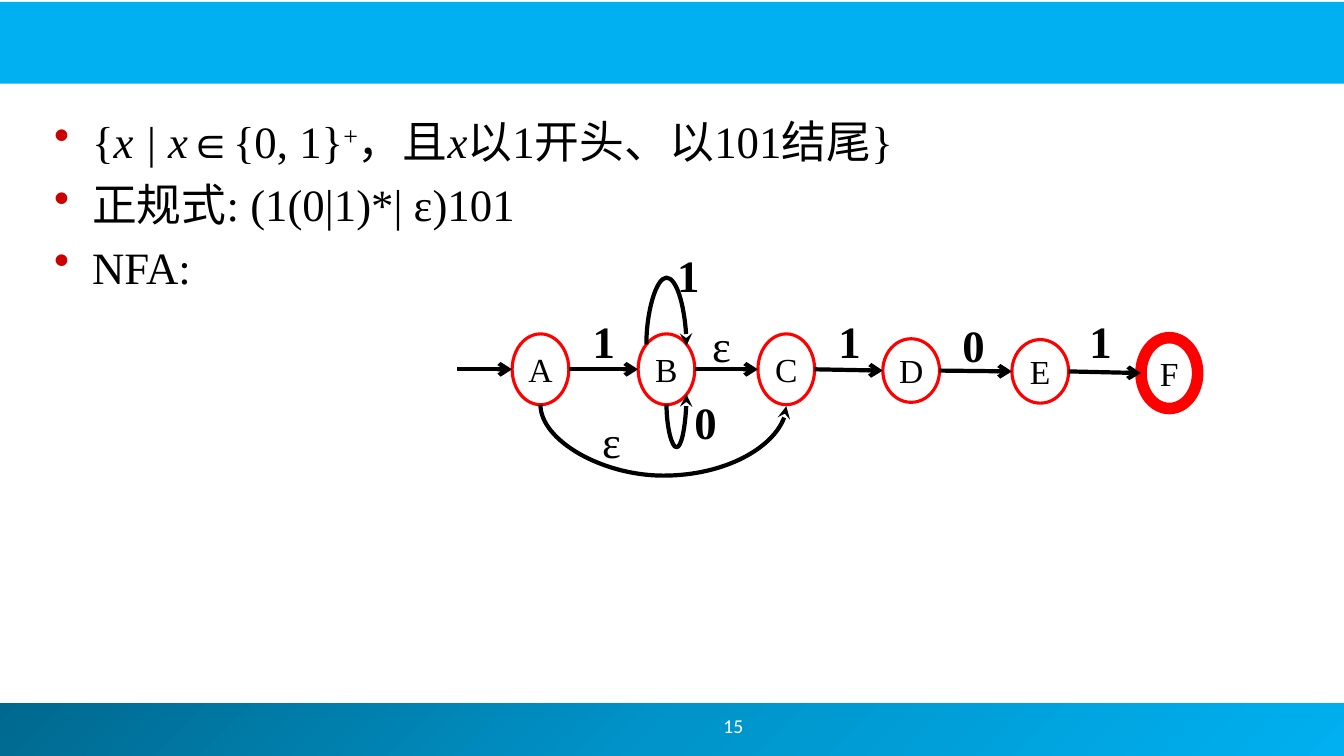
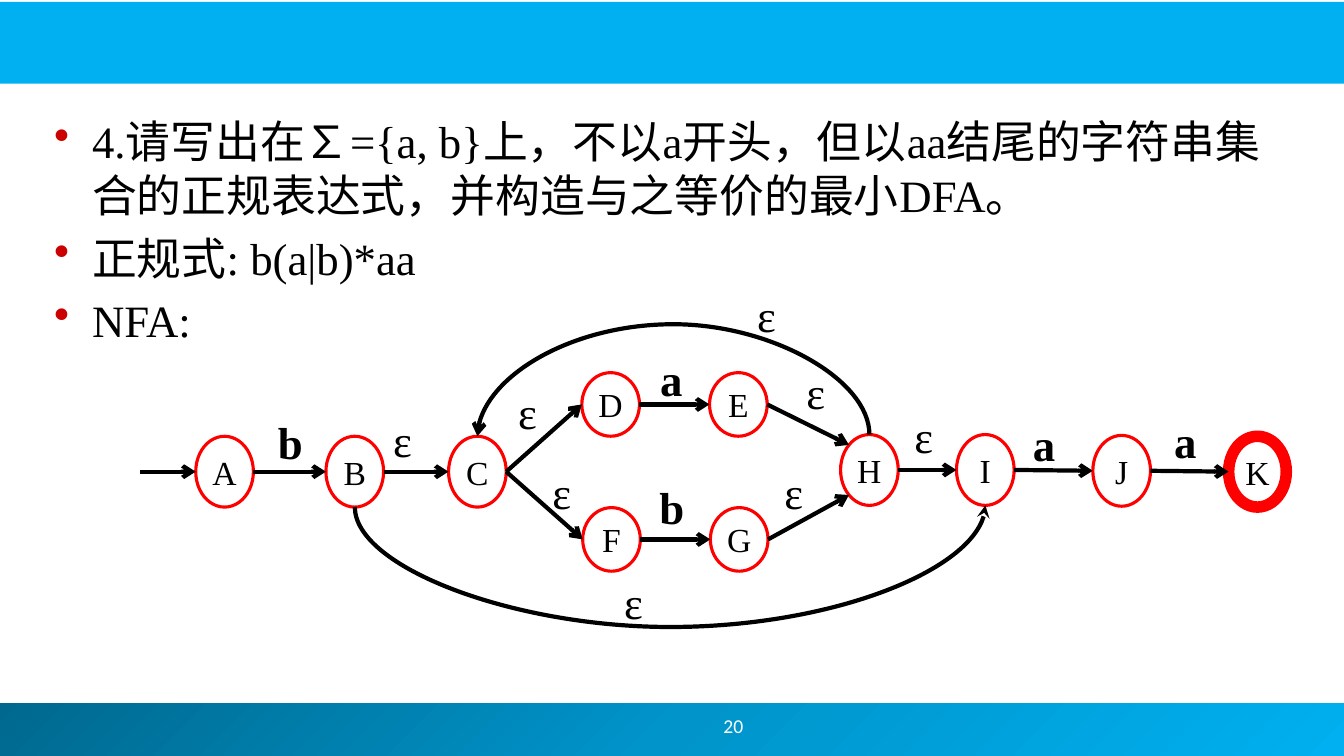
from dataclasses import dataclass
from math import cos, pi, sin
from typing import Any

from lxml import etree
from pptx import Presentation
from pptx.dml.color import RGBColor
from pptx.enum.shapes import MSO_CONNECTOR, MSO_SHAPE
from pptx.enum.text import MSO_ANCHOR, MSO_AUTO_SIZE, PP_ALIGN
from pptx.oxml.ns import qn
from pptx.util import Pt

RECT, OVAL = MSO_SHAPE.RECTANGLE, MSO_SHAPE.OVAL
STRAIGHT, CURVE = MSO_CONNECTOR.STRAIGHT, MSO_CONNECTOR.CURVE
TOP, MIDDLE = MSO_ANCHOR.TOP, MSO_ANCHOR.MIDDLE
LEFT, CENTER = PP_ALIGN.LEFT, PP_ALIGN.CENTER
GROW, FIXED = MSO_AUTO_SIZE.SHAPE_TO_FIT_TEXT, MSO_AUTO_SIZE.NONE

BLACK, WHITE, RED, BULLET_RED, SKY = "000000", "FFFFFF", "FF0000", "CC0000", "00B0F0"
FOOTER_STOPS = ((0, "00688E"), (50, "0094CA"), (100, SKY))
SERIF, SANS = "Times New Roman", "Calibri"
BODY = {"name": SERIF, "size": Pt(32)}
STATE = {"name": SERIF, "size": Pt(24)}
NUMBER = {"name": SANS, "size": Pt(14)}
ITALIC = {"italic": True}
SUPER = "superscript"

TOP_SITE, TOP_LEFT, LEFT_SITE, BOTTOM_LEFT = 0, 1, 2, 3
BOTTOM, BOTTOM_RIGHT, RIGHT, TOP_RIGHT = 4, 5, 6, 7
ENTRY_LENGTH = 39.5
TALL, SHORT = 50.6, 45.4


@dataclass(frozen=True)
class Node:
    name: str
    x: float
    y: float
    h: float = TALL
    final: bool = False


@dataclass(frozen=True)
class Edge:
    src: str
    dst: str
    src_site: int = RIGHT
    dst_site: int = LEFT_SITE
    bulge: float = 0
    head: str = "arrow"


@dataclass(frozen=True)
class Label:
    text: str
    x: float
    y: float


@dataclass(frozen=True)
class Run:
    text: str
    style: str = ""


@dataclass(frozen=True)
class Page:
    number: str
    body: tuple[tuple[Run, ...], ...]
    node_width: float
    nodes: tuple[Node, ...]
    edges: tuple[Edge, ...]
    labels: tuple[Label, ...]


PAGES = (
    Page(
        "15",
        (
            (Run("{"), Run("x | x", "italic"), Run("∈{0, 1}"), Run("+", SUPER), Run("，且"),
             Run("x", "italic"), Run("以1开头、以101结尾}")),
            (Run("正规式: (1(0|1)*| ε)101"),),
            (Run("NFA:"),),
        ),
        40.5,
        (
            Node("A", 365.8, 238.5), Node("B", 455.8, 238.5), Node("C", 541.4, 238.5),
            Node("D", 630.6, 242, SHORT), Node("E", 722.8, 242.6, SHORT),
            Node("F", 815, 241.2, final=True),
        ),
        (
            Edge("A", "B"), Edge("B", "C"), Edge("C", "D"), Edge("D", "E"), Edge("E", "F"),
            Edge("B", "B", TOP_LEFT, TOP_RIGHT, -48, "stealth"),
            Edge("B", "B", BOTTOM, BOTTOM_RIGHT, 30.4, "stealth"),
            Edge("A", "C", BOTTOM, BOTTOM, 51, "stealth"),
        ),
        (
            Label("1", 476.6, 173.5), Label("0", 488.9, 278.6), Label("1", 416.2, 220.3),
            Label("ε", 500.4, 223.2), Label("1", 771.1, 220.3), Label("0", 680.4, 223.2),
            Label("1", 591.8, 220.3), Label("ε", 421.9, 291.6),
        ),
    ),
    Page(
        "20",
        (
            (Run("4.请写出在∑={a, b}上，不以a开头，但以aa结尾的字符串集合的正规表达式，"
                 "并构造与之等价的最小DFA。"),),
            (Run("正规式: b(a|b)*aa"),),
            (Run("NFA:"),),
        ),
        41.2,
        (
            Node("A", 139.8, 311.6), Node("B", 232.8, 311.6), Node("C", 320.4, 311.6),
            Node("D", 415.6, 266.2, SHORT), Node("E", 506.8, 266.2, SHORT),
            Node("F", 416.2, 362.6, SHORT), Node("G", 507.4, 362.6, SHORT),
            Node("H", 600.4, 310.4), Node("I", 683.2, 310.4), Node("J", 780.6, 311),
            Node("K", 877.6, 311.6, final=True),
        ),
        (
            Edge("A", "B"), Edge("B", "C"), Edge("C", "D"), Edge("C", "F"),
            Edge("D", "E"), Edge("F", "G"), Edge("H", "I"), Edge("I", "J"), Edge("J", "K"),
            Edge("E", "H", dst_site=TOP_LEFT), Edge("G", "H", dst_site=BOTTOM_LEFT),
            Edge("H", "C", TOP_SITE, TOP_SITE, -79.4),
            Edge("B", "I", BOTTOM, BOTTOM, 86.4, "stealth"),
        ),
        (
            Label("a", 464.4, 247.7), Label("b", 464, 339.1), Label("b", 191.5, 293),
            Label("ε", 272.6, 290.9), Label("ε", 361.9, 271.4), Label("ε", 567.8, 257),
            Label("ε", 386.4, 328.3), Label("ε", 552, 328.3), Label("ε", 644.8, 288.7),
            Label("a", 730.8, 293.8), Label("ε", 532.5, 202.3), Label("ε", 437.5, 406.8),
            Label("a", 831.6, 291.6),
        ),
    ),
)


def rgb(value: str) -> RGBColor:
    return RGBColor.from_string(value)


def add_run(p: Any, text: str, fmt: dict[str, Any], color: str = BLACK) -> Any:
    r = p.add_run()
    r.text = text
    for key, value in fmt.items():
        setattr(r.font, key, value)
    r.font.color.rgb = rgb(color)
    return r


def set_frame(tf: Any, wrap: bool, anchor: Any = TOP, auto: Any = FIXED) -> None:
    fmt = {"word_wrap": wrap, "vertical_anchor": anchor, "auto_size": auto}
    for key, value in fmt.items():
        setattr(tf, key, value)


def add_band(s: Any, x: float, y: float, w: float, h: float) -> Any:
    sp = s.shapes.add_shape(RECT, Pt(x), Pt(y), Pt(w), Pt(h))
    sp.shadow.inherit = False
    sp.line.fill.background()
    sp.fill.solid()
    sp.fill.fore_color.rgb = rgb(SKY)
    return sp


def add_frame(s: Any, number: str) -> None:
    footer = add_band(s, -3.6, 502.5, 964, 37.5)
    footer.fill.gradient()
    footer.fill.gradient_angle = 315
    stops = footer.element.spPr.find(".//" + qn("a:gsLst"))
    for old in list(stops):
        stops.remove(old)
    for position, color in FOOTER_STOPS:
        stop = etree.SubElement(stops, qn("a:gs"), pos=str(position * 1000))
        etree.SubElement(stop, qn("a:srgbClr"), val=color)
    add_band(s, -1.4, 1.4, 962, 58.4)
    sp = s.shapes.add_textbox(Pt(419.8), Pt(500.4), Pt(208), Pt(36))
    set_frame(sp.text_frame, True, MIDDLE)
    p = sp.text_frame.paragraphs[0]
    p.alignment = CENTER
    add_run(p, number, NUMBER, WHITE)


def add_bullet(p: Any) -> None:
    p.alignment = LEFT
    p.space_before = Pt(6.4)
    ppr = p._p.get_or_add_pPr()
    ppr.set("marL", str(Pt(27)))
    ppr.set("indent", str(-Pt(27)))
    color = etree.SubElement(ppr, qn("a:buClr"))
    etree.SubElement(color, qn("a:srgbClr"), val=BULLET_RED)
    etree.SubElement(ppr, qn("a:buChar"), char="•")


def add_body(s: Any, body: tuple[tuple[Run, ...], ...]) -> None:
    sp = s.shapes.add_textbox(Pt(31.7), Pt(77.8), Pt(895.7), Pt(391.7))
    tf = sp.text_frame
    set_frame(tf, True)
    for i, runs in enumerate(body):
        p = tf.add_paragraph() if i else tf.paragraphs[0]
        add_bullet(p)
        for run in runs:
            fmt = BODY | ITALIC if run.style == "italic" else BODY
            r = add_run(p, run.text, fmt)
            if run.style == SUPER:
                r._r.get_or_add_rPr().set("baseline", "30000")


def add_node(group: Any, node: Node, width: float) -> Any:
    sp = group.shapes.add_shape(OVAL, Pt(node.x), Pt(node.y), Pt(width), Pt(node.h))
    sp.shadow.inherit = False
    sp.fill.background()
    sp.line.color.rgb = rgb(RED)
    sp.line.width = Pt(8.25 if node.final else 2.25)
    set_frame(sp.text_frame, False, MIDDLE)
    p = sp.text_frame.paragraphs[0]
    p.alignment = CENTER
    add_run(p, node.name, STATE)
    return sp


def site_point(sp: Any, site: int) -> tuple[float, float]:
    angle = site * pi / 4
    x = sp.left.pt + sp.width.pt * (1 - sin(angle)) / 2
    y = sp.top.pt + sp.height.pt * (1 - cos(angle)) / 2
    return round(x, 2), round(y, 2)


def add_arrow(group: Any, kind: Any, start: tuple[float, float], end: tuple[float, float],
              head: str) -> Any:
    cx = group.shapes.add_connector(kind, *(Pt(v) for v in start + end))
    cx.line.color.rgb = rgb(BLACK)
    cx.line.width = Pt(3)
    sppr = cx.element.spPr
    etree.SubElement(sppr.find(qn("a:ln")), qn("a:tailEnd"), type=head)
    etree.SubElement(sppr, qn("a:effectLst"))
    return cx


def bend(cx: Any, start: tuple[float, float], end: tuple[float, float], bulge: float) -> None:
    dx, dy = end[0] - start[0], round(end[1] - start[1], 1) or 1
    w, h = abs(dy), abs(dx)
    box = {
        "left": Pt(start[0] + (dx - w) / 2), "top": Pt(start[1] + (dy - h) / 2),
        "width": Pt(w), "height": Pt(h), "rotation": 90,
    }
    for key, value in box.items():
        setattr(cx, key, value)
    sppr = cx.element.spPr
    sppr.xfrm.set("flipH", str(int(dy < 0)))
    sppr.xfrm.set("flipV", str(int(dx > 0)))
    guides = sppr.find(".//" + qn("a:avLst"))
    etree.SubElement(guides, qn("a:gd"), name="adj1", fmla=f"val {round(bulge / dy * 100000)}")


def add_edge(group: Any, edge: Edge, states: dict[str, Any]) -> None:
    src, dst = states[edge.src], states[edge.dst]
    start, end = site_point(src, edge.src_site), site_point(dst, edge.dst_site)
    cx = add_arrow(group, CURVE if edge.bulge else STRAIGHT, start, end, edge.head)
    if edge.bulge:
        bend(cx, start, end, edge.bulge)
    links = cx.element.find(".//" + qn("p:cNvCxnSpPr"))
    for tag, sp, site in (("a:stCxn", src, edge.src_site), ("a:endCxn", dst, edge.dst_site)):
        etree.SubElement(links, qn(tag), id=str(sp.shape_id), idx=str(site))


def add_label(group: Any, label: Label) -> None:
    sp = group.shapes.add_textbox(Pt(label.x), Pt(label.y), Pt(30), Pt(46))
    set_frame(sp.text_frame, False, auto=GROW)
    p = sp.text_frame.paragraphs[0]
    p.alignment = CENTER
    add_run(p, label.text, BODY | {"bold": label.text != "ε"})


def add_automaton(s: Any, page: Page) -> None:
    group = s.shapes.add_group_shape()
    states = {node.name: add_node(group, node, page.node_width) for node in page.nodes}
    x, y = site_point(states["A"], LEFT_SITE)
    add_arrow(group, STRAIGHT, (x - ENTRY_LENGTH, y), (x, y), "arrow")
    for edge in page.edges:
        add_edge(group, edge, states)
    for label in page.labels:
        add_label(group, label)


def main() -> None:
    prs = Presentation()
    prs.slide_width, prs.slide_height = Pt(960), Pt(540)
    for page in PAGES:
        s = prs.slides.add_slide(prs.slide_layouts[6])
        add_frame(s, page.number)
        add_body(s, page.body)
        add_automaton(s, page)
    prs.save("out.pptx")


if __name__ == "__main__":
    main()
